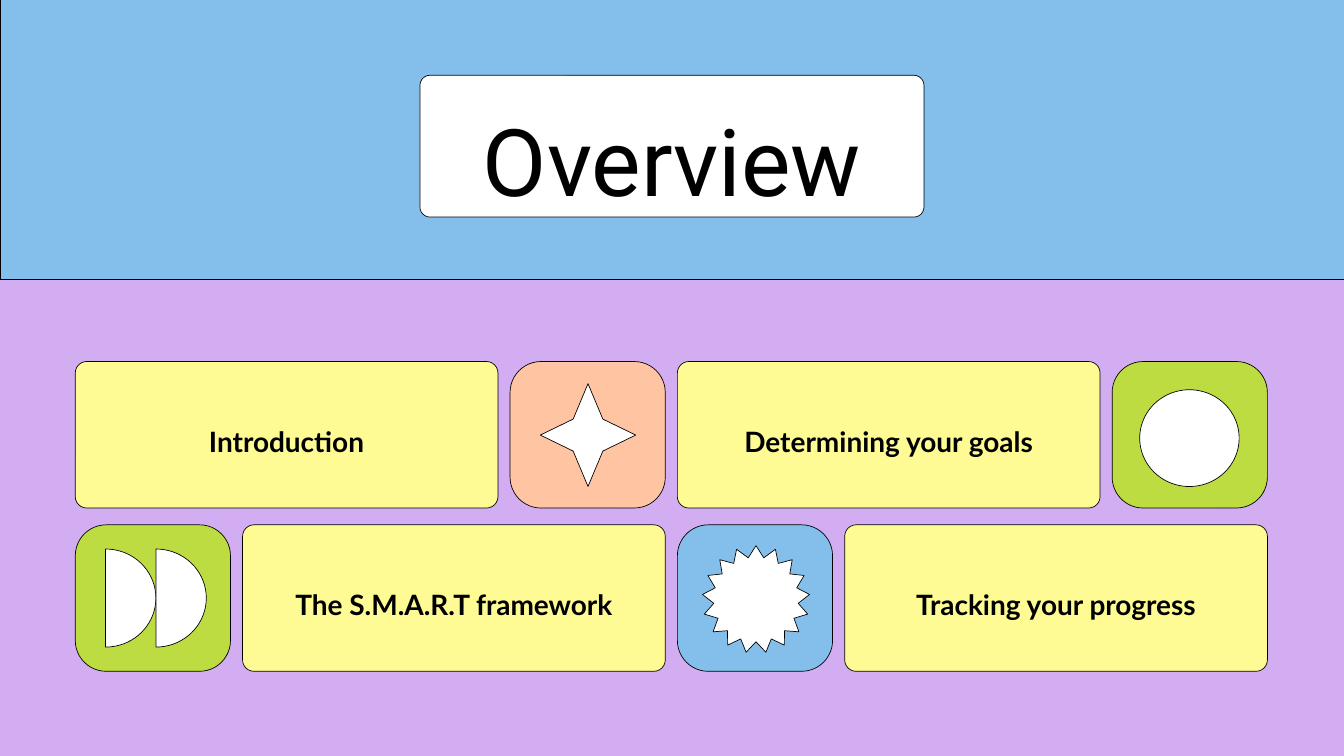
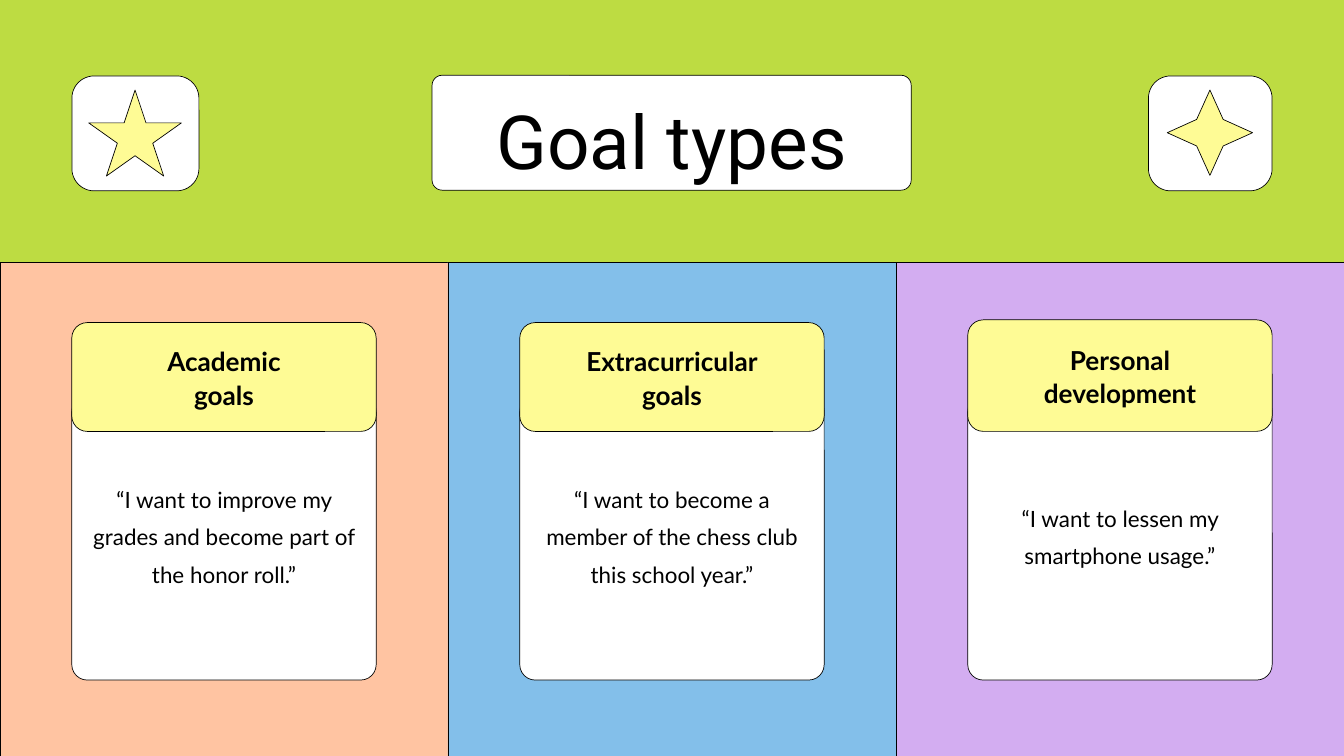
"""Builds two slides on setting goals: an overview and the goal types."""
import math

from pptx import Presentation
from pptx import util as u
from pptx.dml.color import RGBColor
from pptx.enum import shapes, text

COLORS = {
    "lilac": "D3ADF1", "blue": "83BFEA", "green": "BDDC42", "peach": "FFC4A2",
    "yellow": "FEFB95", "white": "FFFFFF", "black": "000000",
}
STYLES = {
    "topic": {"font": {"name": "Lato", "size": u.Pt(30), "bold": True}, "spacing": 1.4, "inset": 0.06},
    "heading": {"font": {"name": "Lato", "size": u.Pt(28), "bold": True}, "spacing": 1.07, "inset": 0.06},
    "quote": {"font": {"name": "Lato", "size": u.Pt(24), "bold": False}, "spacing": 1.4, "inset": 0.28},
    "overview": {"font": {"name": "Roboto", "size": u.Pt(100), "bold": False}, "spacing": 1.2, "inset": 0.06},
    "types": {"font": {"name": "Roboto", "size": u.Pt(80), "bold": False}, "spacing": 1.26, "inset": 0.06},
}
WIDTH, HEIGHT = 20, 11.25


def radial(center_x, center_y, spokes):
    """Turn (degrees from the top, x radius, y radius) into points."""
    return [(center_x + rx * math.sin(math.radians(angle)),
             center_y - ry * math.cos(math.radians(angle)))
            for angle, rx, ry in spokes]


class Deck:
    """Holds the presentation, its style and the current slide."""

    def __init__(self):
        self.presentation = Presentation()
        self.presentation.slide_width = u.Inches(WIDTH)
        self.presentation.slide_height = u.Inches(HEIGHT)
        self.slide = None

    def add_slide(self, background):
        self.slide = self.presentation.slides.add_slide(self.presentation.slide_layouts[5])
        self.paint(self.slide.background.fill, background)

    def paint(self, fill, color):
        fill.solid()
        fill.fore_color.rgb = RGBColor.from_string(COLORS[color])

    def finish(self, shape, fill):
        shape.shadow.inherit = False
        self.paint(shape.fill, fill)
        self.paint(shape.line.fill, "black")
        shape.line.width = u.Pt(0.75)
        return shape

    def preset(self, kind, box, fill, adjust=None):
        shape = self.slide.shapes.add_shape(kind, *map(u.Inches, box))
        if adjust is not None:
            shape.adjustments[0] = adjust
        return self.finish(shape, fill)

    def band(self, box, fill):
        return self.preset(shapes.MSO_SHAPE.RECTANGLE, box, fill)

    def rounded(self, box, fill, radius):
        return self.preset(shapes.MSO_SHAPE.ROUNDED_RECTANGLE, box, fill, radius / min(box[2:]))

    def sparkle(self, box, fill):
        return self.preset(shapes.MSO_SHAPE.STAR_4_POINT, box, fill, 0.22)

    def outline(self, points, fill):
        corners = [(u.Inches(x), u.Inches(y)) for x, y in points]
        builder = self.slide.shapes.build_freeform(*corners[0])
        builder.add_line_segments(corners[1:], close=True)
        return self.finish(builder.convert_to_shape(), fill)

    def set_words(self, shape, words, style):
        look = STYLES[style]
        frame = shape.text_frame
        frame.text = words
        settings = {"word_wrap": True, "auto_size": text.MSO_AUTO_SIZE.NONE,
                    "vertical_anchor": text.MSO_ANCHOR.MIDDLE}
        for side in ("left", "top", "right", "bottom"):
            settings[f"margin_{side}"] = u.Inches(look["inset"])
        for name, value in settings.items():
            setattr(frame, name, value)
        for paragraph in frame.paragraphs:
            paragraph.alignment = text.PP_ALIGN.CENTER
            paragraph.line_spacing = look["spacing"]
            for name, value in look["font"].items():
                setattr(paragraph.font, name, value)
            paragraph.font.color.rgb = RGBColor.from_string(COLORS["black"])

    def text_box(self, box, words, style):
        self.set_words(self.slide.shapes.add_textbox(*map(u.Inches, box)), words, style)

    def title(self, words, panel, text_top, style):
        left, top, width, height = panel
        self.rounded(panel, "white", 0.15)
        title = self.slide.shapes.title
        place = {"left": left, "top": text_top, "width": width, "height": top + height - text_top}
        for name, value in place.items():
            setattr(title, name, u.Inches(value))
        self.set_words(title, words, style)
        title.element.getparent().append(title.element)


def build_overview(deck):
    deck.add_slide("lilac")
    deck.band((0, -0.13, WIDTH, 4.29), "blue")
    deck.title("Overview", (6.25, 1.12, 7.5, 2.11), 1.16, "overview")

    card_width, tile_width, row_height, gap = 6.29, 2.31, 2.18, 0.18
    rows = [
        (5.38, ["Introduction", "peach", "Determining your goals", "green"]),
        (7.81, ["green", "The S.M.A.R.T framework", "blue", "Tracking your progress"]),
    ]
    for top, cells in rows:
        left = 1.12
        for cell in cells:
            if cell in COLORS:
                width = tile_width
                deck.rounded((left, top, width, row_height), cell, 0.46)
            else:
                width = card_width
                card = deck.rounded((left, top, width, row_height), "yellow", 0.17)
                deck.set_words(card, cell, "topic")
            left += width + gap

    deck.sparkle((8.04, 5.71, 1.42, 1.53), "white")
    deck.preset(shapes.MSO_SHAPE.OVAL, (16.96, 5.8, 1.48, 1.44), "white")
    for flat_side in (1.57, 2.32):
        half_disc = [(angle, 0.75, 0.73) for angle in range(0, 181, 5)]
        deck.outline(radial(flat_side, 8.9, half_disc), "white")
    tips = 17
    burst = [(180 * step / tips, radius, radius)
             for step in range(2 * tips) for radius in [0.63 if step % 2 else 0.8]]
    deck.outline(radial(11.25, 8.92, burst), "white")


def build_goal_types(deck):
    deck.add_slide("green")
    column_width, card_width, card_bottom = WIDTH / 3, 4.53, 10.12
    heading_bottom = 6.42
    goals = [
        ("peach", 4.8, "Academic\ngoals",
         "“I want to improve my grades and become part of the honor roll.”"),
        ("blue", 4.8, "Extracurricular\ngoals",
         "“I want to become a member of the chess club this school year.”"),
        ("lilac", 4.76, "Personal\ndevelopment",
         "“I want to lessen my smartphone usage.”"),
    ]
    for index, (color, heading_top, heading, quote) in enumerate(goals):
        column_left = index * column_width
        left = column_left + (column_width - card_width) / 2
        deck.band((column_left, 3.9, column_width, 7.64), color)
        deck.rounded((left, 5.9, card_width, card_bottom - 5.9), "white", 0.23)
        deck.text_box((left, 5.7, card_width, card_bottom - 5.7), quote, "quote")
        label = deck.rounded((left, heading_top, card_width, heading_bottom - heading_top),
                             "yellow", 0.23)
        deck.set_words(label, heading, "heading")

    deck.title("Goal types", (6.43, 1.12, 7.13, 1.71), 0.97, "types")
    for left, width in ((1.07, 1.89), (17.09, 1.84)):
        deck.rounded((left, 1.13, width, 1.71), "white", 0.33)
    deck.preset(shapes.MSO_SHAPE.STAR_5_POINT, (1.32, 1.34, 1.38, 1.28), "yellow")
    deck.sparkle((17.37, 1.34, 1.27, 1.27), "yellow")


def main():
    deck = Deck()
    build_overview(deck)
    build_goal_types(deck)
    deck.presentation.save("out.pptx")


if __name__ == "__main__":
    main()
